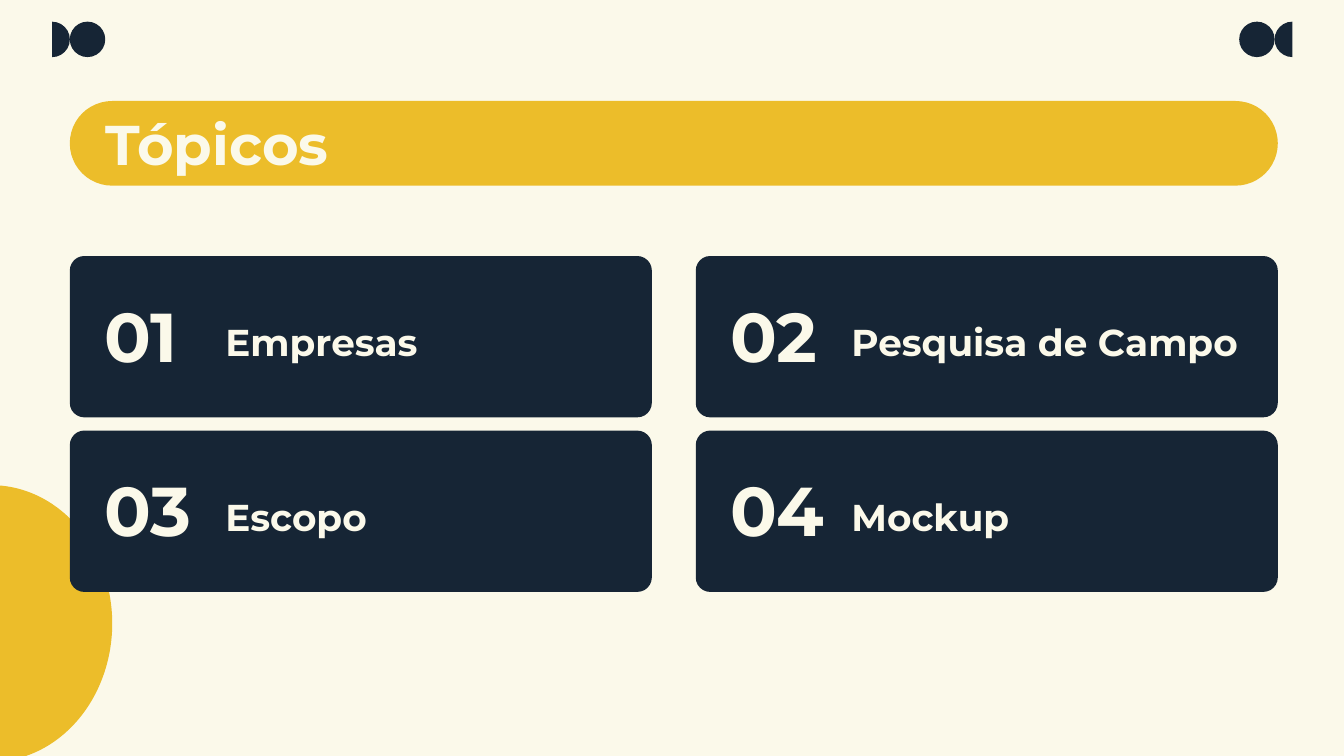
from pptx import Presentation
from pptx.dml.color import RGBColor
from pptx.enum.shapes import MSO_SHAPE
from pptx.enum.text import MSO_ANCHOR, MSO_AUTO_SIZE, PP_ALIGN
from pptx.util import Cm, Pt

CREAM = RGBColor(0xFB, 0xF9, 0xEA)
GOLD = RGBColor(0xEC, 0xBD, 0x2A)
NAVY = RGBColor(0x16, 0x25, 0x35)
FONT = "Montserrat"
PIE, OVAL, ROUND = MSO_SHAPE.PIE, MSO_SHAPE.OVAL, MSO_SHAPE.ROUNDED_RECTANGLE
TOP, MIDDLE = MSO_ANCHOR.TOP, MSO_ANCHOR.MIDDLE
LEFT, FIXED = PP_ALIGN.LEFT, MSO_AUTO_SIZE.NONE

TITLE = "Tópicos"
TOPICS = ["Empresas", "Pesquisa de Campo", "Escopo", "Mockup"]

HALF = (54, 162)
DOT = 0.67
DOT_TOP = 0.41
EDGE = 1.32
BAR = (EDGE, 1.91, 22.83, 1.6)
CARD_TOP, CARD_W, CARD_H = 4.84, 11, 3.05
STEP_X, STEP_Y = 11.83, 3.3

deck = Presentation()
deck.slide_width, deck.slide_height = Cm(25.4), Cm(14.29)
slide = deck.slides.add_slide(deck.slide_layouts[5])
slide.background.fill.solid()
slide.background.fill.fore_color.rgb = CREAM


def add_form(kind, box, color, adjust=(), turn=0):
    form = slide.shapes.add_shape(kind, *map(Cm, box))
    form.shadow.inherit = False
    form.fill.solid()
    form.fill.fore_color.rgb = color
    form.line.fill.background()
    form.rotation = turn
    for i, value in enumerate(adjust):
        form.adjustments[i] = value


def put_text(text, box, size, anchor=MIDDLE, inset=0.25, holder=None):
    left, top, width, height = map(Cm, box)
    item = holder or slide.shapes.add_textbox(left, top, width, height)
    item.left, item.top, item.width, item.height = left, top, width, height
    frame = item.text_frame
    frame.word_wrap = True
    frame.auto_size = FIXED
    frame.vertical_anchor = anchor
    frame.margin_left = frame.margin_right = Cm(inset)
    frame.margin_top = frame.margin_bottom = Cm(inset)
    para = frame.paragraphs[0]
    para.alignment = LEFT
    run = para.add_run()
    run.text = text
    run.font.name = FONT
    run.font.size = Pt(size)
    run.font.bold = True
    run.font.color.rgb = CREAM


add_form(PIE, (-2.46, 9.17, 4.58, 5.23), GOLD, HALF, 180)
for left, half_left, turn in ((EDGE, EDGE - DOT, 180), (23.42, 23.42 + DOT, 0)):
    add_form(PIE, (half_left, DOT_TOP, DOT, DOT), NAVY, HALF, turn)
    add_form(OVAL, (left, DOT_TOP, DOT, DOT), NAVY)

add_form(ROUND, BAR, GOLD, (0.5,))
title = slide.shapes.title
title.element.getparent().append(title.element)
put_text(TITLE, (2, 1.91, 21.41, 1.6), 30, inset=0, holder=title)

for i, topic in enumerate(TOPICS):
    row, col = divmod(i, 2)
    x = EDGE + col * STEP_X
    y = CARD_TOP + row * STEP_Y
    add_form(ROUND, (x, y, CARD_W, CARD_H), NAVY, (0.09,))
    put_text(f"{i + 1:02}", (x + 0.4, y + 0.33, 2.44, 2.31), 37)
    put_text(topic, (x + 2.69, y + 0.95, 7.9, 1.09), 20, anchor=TOP)

deck.save("out.pptx")
